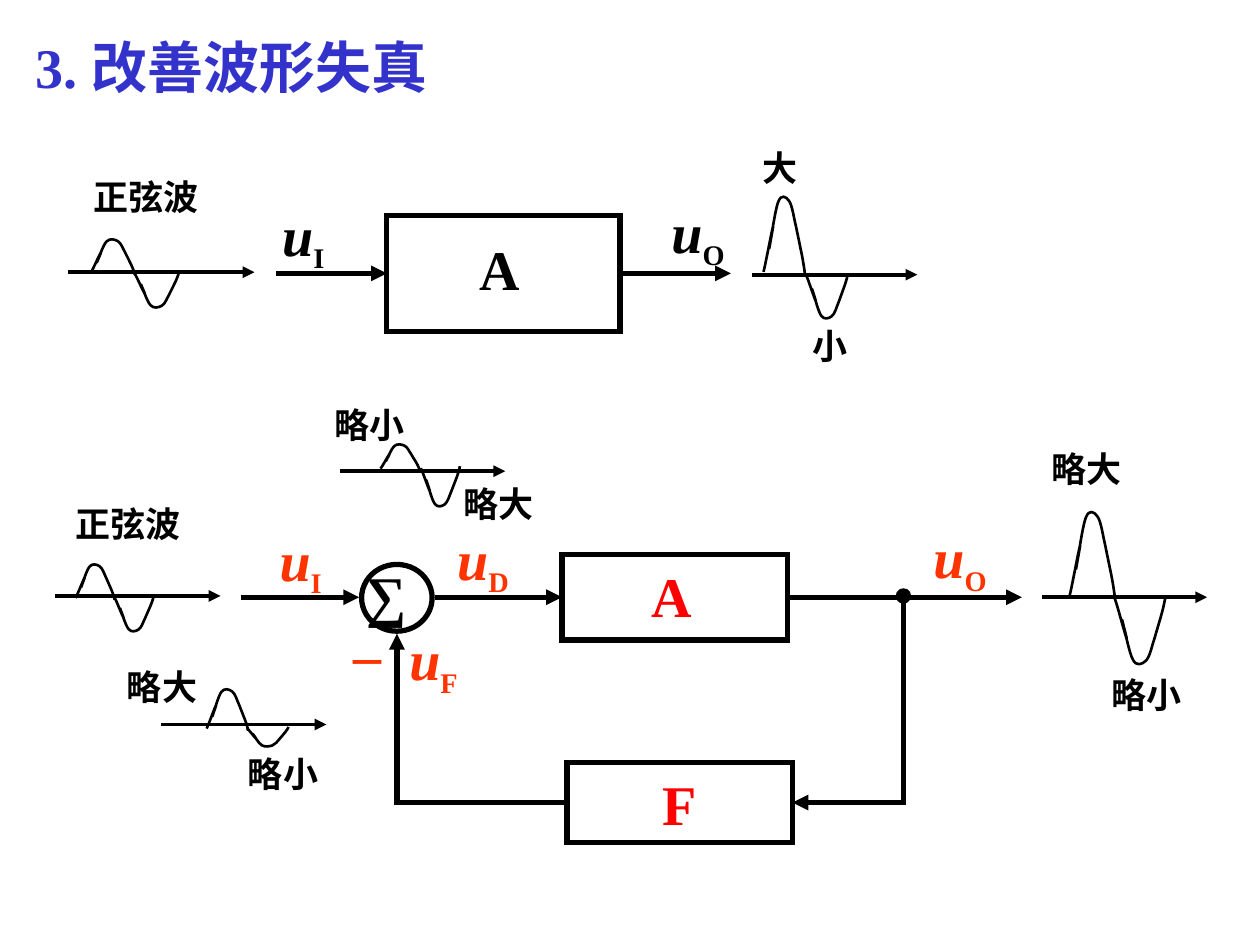
from dataclasses import dataclass
from typing import Optional

import lxml.etree
import pptx
import pptx.dml.color
import pptx.enum.shapes
import pptx.enum.text
import pptx.oxml.ns
import pptx.util

RGB = pptx.dml.color.RGBColor
Pt = pptx.util.Pt
qn = pptx.oxml.ns.qn
SHAPE = pptx.enum.shapes.MSO_SHAPE
LEFT, RIGHT = 1, 3  # connection sites of a rectangle

BLACK = RGB(0x00, 0x00, 0x00)
WHITE = RGB(0xFF, 0xFF, 0xFF)
BLUE = RGB(0x33, 0x33, 0xCC)
RED = RGB(0xFF, 0x00, 0x00)
ORANGE = RGB(0xFF, 0x33, 0x00)

THICK, AXIS, THIN = 3, 2.25, 1.5
COLUMNS = 100  # square grid cells across the slide, 75 rows down

# Control points of a half wave in a unit box, as chained cubic curves.
HALF_WAVE = [
    (0, .95),
    (.05, .86), (.2, .44), (.23, .4), (.25, .36), (.12, .71), (.14, .66),
    (.17, .6), (.28, .18), (.36, .09), (.43, 0), (.54, .03), (.61, .08),
    (.69, .13), (.73, .29), (.78, .39), (.82, .49), (.85, .56), (.89, .66),
    (.93, .75), (.99, .92), (1, 1),
]


@dataclass
class Area:
    """A rectangle in grid columns and rows."""
    col: float
    row: float
    cols: float
    rows: float


@dataclass
class Label:
    text: str
    area: Area
    color: RGB = BLACK
    size: int = 20
    sub: str = ""


@dataclass
class Signal:
    """A wave on its time axis."""
    col: float
    row: float
    cols: float
    crest: Area
    trough: Area


@dataclass
class Wire:
    start: tuple
    end: tuple
    arrow: bool = True
    source: Optional[str] = None
    target: Optional[str] = None


BLOCKS = {
    "open A": Area(30.7, 17.1, 18.5, 9.2),
    "closed A": Area(44.6, 44, 17.9, 6.8),
    "F": Area(45, 60.5, 17.9, 6.4),
}
SUMMER = Area(28.7, 44.8, 5.6, 5.3)
NODE = Area(71.3, 46.9, .8, .8)

SIGNALS = [
    Signal(5.4, 21.6, 14.8, Area(7.2, 18.9, 3.5, 2.9), Area(10.7, 21.6, 3.5, 2.9)),
    Signal(59.7, 21.8, 13.1, Area(60.6, 15.4, 3.3, 6.5), Area(64, 21.7, 3.3, 3.7)),
    Signal(12.8, 57.5, 13.1, Area(16.4, 54.6, 3.3, 3.4), Area(19.6, 57.7, 3.3, 1.6)),
    Signal(4.4, 47.3, 13.1, Area(6, 44.7, 3.1, 2.9), Area(9.1, 47.3, 3.1, 2.9)),
    Signal(27, 37.4, 13.1, Area(30.2, 35.2, 3.1, 2.1), Area(33.4, 37, 3.1, 3.3)),
    Signal(82.7, 47.4, 13.1, Area(84.9, 40.4, 3.6, 7.2), Area(88.5, 47.3, 4, 5.6)),
]

WIRES = [
    Wire((21.9, 21.7), (30.7, 21.7), target="open A"),
    Wire((49.2, 21.7), (58, 21.7), source="open A"),
    Wire((19.1, 47.4), (28.5, 47.4)),
    Wire((34.5, 47.4), (44.6, 47.4), target="closed A"),
    Wire((62.5, 47.4), (81.1, 47.4), source="closed A"),
    Wire((71.7, 47.1), (71.7, 63.7), arrow=False),
    Wire((71.9, 63.7), (62.9, 63.7), target="F"),
    Wire((45, 63.7), (31.3, 63.7), arrow=False, source="F"),
    Wire((31.5, 63.8), (31.5, 50.3)),
]

LABELS = [
    Label("A", Area(37.1, 18.1, 5.4, 6.4), size=32),
    Label("u", Area(21.4, 15.4, 6.2, 6.9), size=32, sub="I"),
    Label("u", Area(52.3, 15.2, 6.6, 6.9), size=32, sub="O"),
    Label("大", Area(59.5, 11.1, 5.6, 4.4)),
    Label("小", Area(63.5, 25.3, 5.7, 4.4)),
    Label("正弦波", Area(6.4, 13.4, 11.5, 4.4)),
    Label("–", Area(27.1, 48.7, 6.2, 6.4), ORANGE, 32),
    Label("A", Area(50.7, 44.1, 5.4, 6.4), RED, 32),
    Label("略小", Area(25.6, 31.5, 9.1, 4.4)),
    Label("略大", Area(35.8, 37.8, 9, 4.4)),
    Label("略大", Area(9.1, 52.3, 9, 4.4)),
    Label("略小", Area(18.7, 59.2, 9, 4.4)),
    Label("略大", Area(82.5, 35, 9, 4.4)),
    Label("略小", Area(87.2, 53, 9, 4.4)),
    Label("正弦波", Area(5, 39.4, 10.4, 4.4)),
    Label("u", Area(21.2, 41.2, 6.2, 6.9), ORANGE, 32, "I"),
    Label("u", Area(35.3, 41.1, 6.6, 6.9), ORANGE, 32, "D"),
    Label("∑", Area(28.1, 44, 7.4, 6.4), size=32),
    Label("u", Area(73.1, 41, 6.6, 6.9), ORANGE, 32, "O"),
    Label("u", Area(31.5, 49.1, 6.6, 6.9), ORANGE, 32, "F"),
]

prs = pptx.Presentation()
prs.slide_width, prs.slide_height = pptx.util.Inches(10), pptx.util.Inches(7.5)
s = prs.slides.add_slide(prs.slide_layouts[5])


def cells(*counts: float) -> list:
    return [round(n * prs.slide_width / COLUMNS) for n in counts]


def frame(area: Area) -> list:
    return cells(area.col, area.row, area.cols, area.rows)


def add_run(p, text: str, color: RGB, size: int):
    r = p.add_run()
    r.text = text
    style = {"name": "Times New Roman", "size": Pt(size), "bold": True}
    for key, value in style.items():
        setattr(r.font, key, value)
    r.font.color.rgb = color
    return r


def stroke(line, width: float) -> None:
    line.color.rgb = BLACK
    line.width = Pt(width)


def add_title(area: Area) -> None:
    sp = s.shapes.title
    sp.left, sp.top, sp.width, sp.height = frame(area)
    tf = sp.text_frame
    tf.vertical_anchor = pptx.enum.text.MSO_ANCHOR.TOP
    tf.auto_size = pptx.enum.text.MSO_AUTO_SIZE.NONE
    p = tf.paragraphs[0]
    p.alignment = pptx.enum.text.PP_ALIGN.LEFT
    add_run(p, "3. 改善波形失真", BLUE, 32)


def add_label(label: Label) -> None:
    tf = s.shapes.add_textbox(*frame(label.area)).text_frame
    tf.word_wrap = True
    p = tf.paragraphs[0]
    r = add_run(p, label.text, label.color, label.size)
    if label.sub:
        r.font.italic = True
        sub = add_run(p, label.sub, label.color, 28)
        sub._r.get_or_add_rPr().set("baseline", "-25000")


def add_outline(kind, area: Area, fill: Optional[RGB] = None):
    sp = s.shapes.add_shape(kind, *frame(area))
    sp.shadow.inherit = False
    stroke(sp.line, THICK)
    lxml.etree.SubElement(sp._element.spPr.find(qn("a:ln")), qn("a:miter"), lim="800000")
    if fill is None:
        sp.fill.background()
    else:
        sp.fill.solid()
        sp.fill.fore_color.rgb = fill
    return sp


def add_line(start: tuple, end: tuple, width: float, arrow: bool = True):
    c = s.shapes.add_connector(pptx.enum.shapes.MSO_CONNECTOR.STRAIGHT, *cells(*start, *end))
    stroke(c.line, width)
    spPr = c._element.spPr
    if arrow:
        lxml.etree.SubElement(spPr.find(qn("a:ln")), qn("a:tailEnd"), type="triangle")
    lxml.etree.SubElement(spPr, qn("a:effectLst"))
    return c


def add_half_wave(area: Area, inverted: bool) -> None:
    points = [cells(area.col + x * area.cols,
                    area.row + (1 - y if inverted else y) * area.rows)
              for x, y in HALF_WAVE]
    builder = s.shapes.build_freeform(*points[0])
    builder.add_line_segments(points[1:], close=False)
    sp = builder.convert_to_shape()
    sp.shadow.inherit = False
    sp.fill.background()
    stroke(sp.line, THIN)
    # Every three vertices become the control points of one cubic curve.
    outline = sp._element.find(".//" + qn("a:path"))
    vertices = outline.findall(qn("a:lnTo"))
    for i in range(0, len(vertices), 3):
        curve = lxml.etree.SubElement(outline, qn("a:cubicBezTo"))
        for vertex in vertices[i:i + 3]:
            curve.append(vertex[0])
            outline.remove(vertex)


def add_signal(signal: Signal) -> None:
    add_line((signal.col, signal.row), (signal.col + signal.cols, signal.row), AXIS)
    add_half_wave(signal.crest, inverted=False)
    add_half_wave(signal.trough, inverted=True)


def add_wire(wire: Wire, blocks: dict) -> None:
    c = add_line(wire.start, wire.end, THICK, wire.arrow)
    forward = wire.end[0] > wire.start[0]
    if wire.source:
        c.begin_connect(blocks[wire.source], RIGHT if forward else LEFT)
    if wire.target:
        c.end_connect(blocks[wire.target], LEFT if forward else RIGHT)


def main() -> None:
    add_title(Area(1.8, 2.1, 35.5, 6.4))
    blocks = {name: add_outline(SHAPE.RECTANGLE, area, WHITE if name == "open A" else None)
              for name, area in BLOCKS.items()}
    add_run(blocks["F"].text_frame.paragraphs[0], "F", RED, 32)
    add_outline(SHAPE.OVAL, SUMMER)
    add_outline(SHAPE.OVAL, NODE, BLACK)
    for signal in SIGNALS:
        add_signal(signal)
    for wire in WIRES:
        add_wire(wire, blocks)
    for label in LABELS:
        add_label(label)
    prs.save("out.pptx")


if __name__ == "__main__":
    main()
